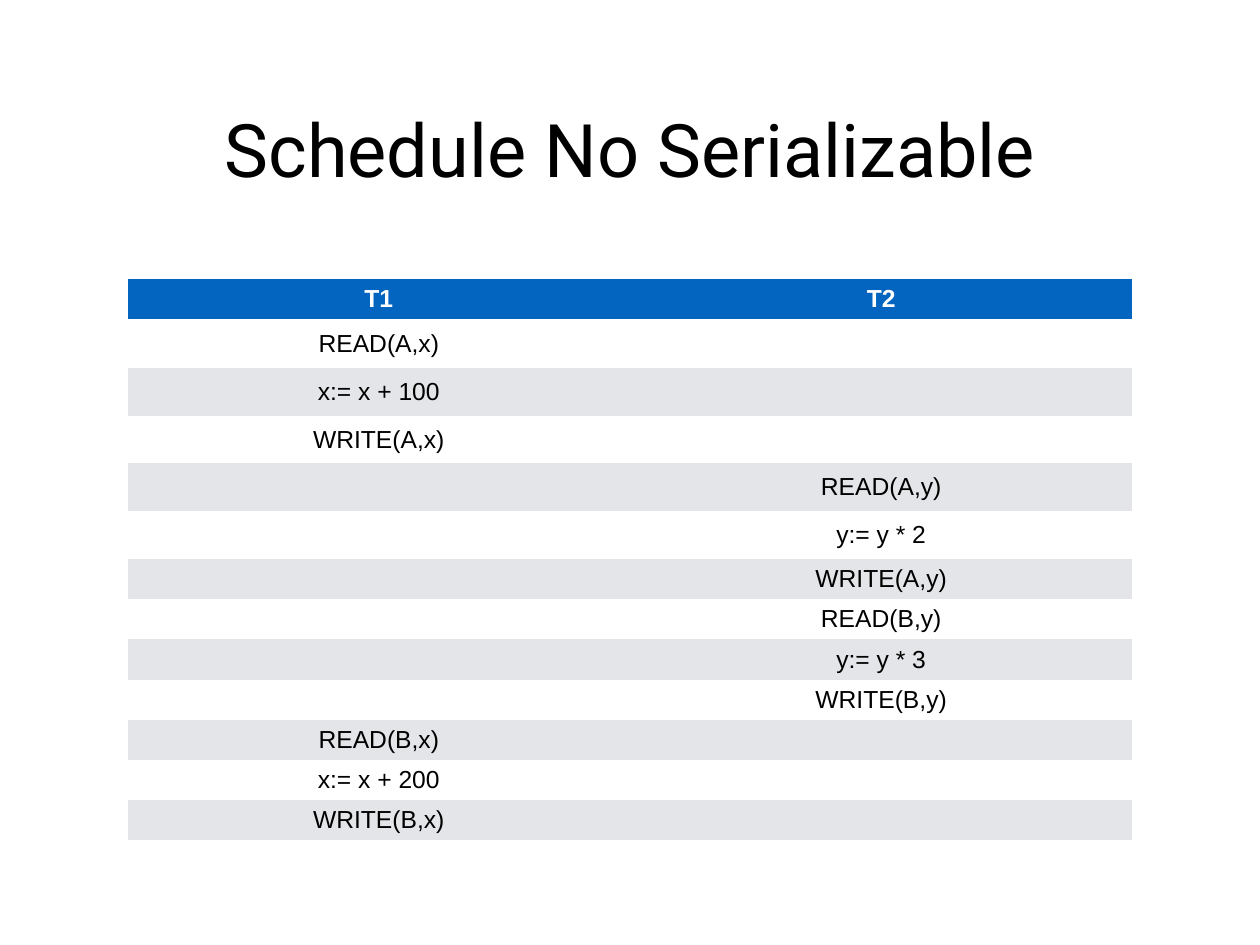
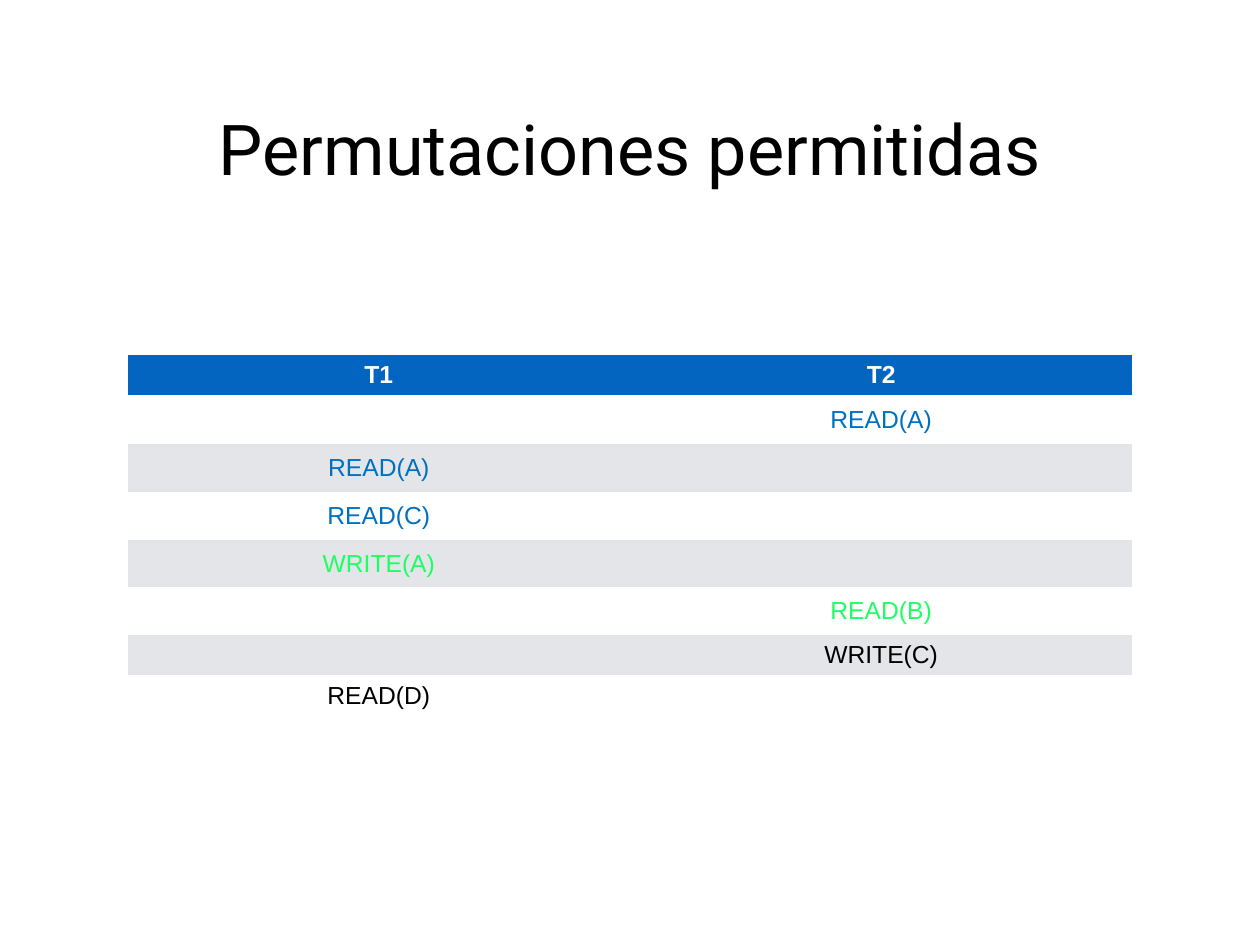
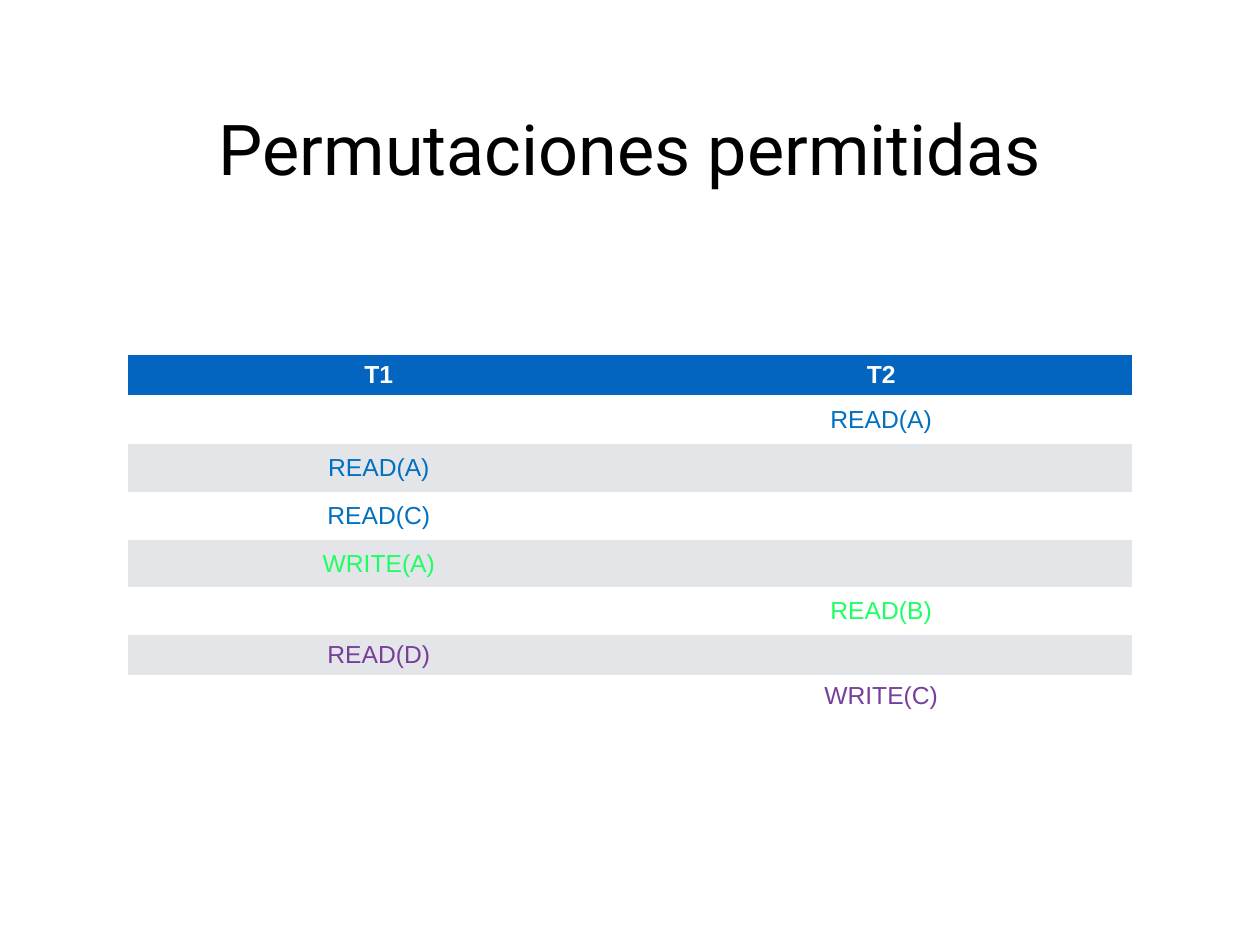
from pptx import Presentation
from pptx.dml.color import RGBColor
from pptx.enum.text import MSO_ANCHOR as Anchor, PP_ALIGN as Align
from pptx.oxml.ns import qn
from pptx.util import Inches, Pt

BLACK = RGBColor(0x00, 0x00, 0x00)
WHITE = RGBColor(0xFF, 0xFF, 0xFF)
HEAD = RGBColor(0x03, 0x65, 0xC0)
BAND = RGBColor(0xE3, 0xE5, 0xE8)
BLUE = RGBColor(0x00, 0x70, 0xC0)
GREEN = RGBColor(0x1D, 0xFF, 0x63)
PURPLE = RGBColor(0x77, 0x3F, 0x9B)

NO_GRID = "{2D5ABB26-0587-4C30-8999-92F81FD0307C}"
INSET = Inches(0.06)
LEFT, COL_W = 1.44, 5.67
TALL = [0.45, 0.55, 0.54, 0.54, 0.54, 0.54]
LOW = 0.44

HEADS = ["T1", "T2"]
SERIAL = [
    (0, "READ(A,x)", BLACK),
    (0, "x:= x + 100", BLACK),
    (0, "WRITE(A,x)", BLACK),
    (1, "READ(A,y)", BLACK),
    (1, "y:= y * 2", BLACK),
    (1, "WRITE(A,y)", BLACK),
    (1, "READ(B,y)", BLACK),
    (1, "y:= y * 3", BLACK),
    (1, "WRITE(B,y)", BLACK),
    (0, "READ(B,x)", BLACK),
    (0, "x:= x + 200", BLACK),
    (0, "WRITE(B,x)", BLACK),
]
SWAPS = [
    (1, "READ(A)", BLUE),
    (0, "READ(A)", BLUE),
    (0, "READ(C)", BLUE),
    (0, "WRITE(A)", GREEN),
    (1, "READ(B)", GREEN),
]
BEFORE = [(1, "WRITE(C)", BLACK), (0, "READ(D)", BLACK)]
AFTER = [(0, "READ(D)", PURPLE), (1, "WRITE(C)", PURPLE)]

SLIDES = [
    dict(title="Schedule No Serializable", size=60, top=3.15, steps=SERIAL),
    dict(title="Permutaciones permitidas", size=57, top=4.01, steps=SWAPS + BEFORE),
    dict(title="Permutaciones permitidas", size=57, top=4.01, steps=SWAPS + AFTER),
]


def write(frame, text, font="Arial", size=20, color=BLACK, bold=False):
    para = frame.paragraphs[0]
    para.alignment = Align.CENTER
    run = para.add_run()
    run.text = text
    run.font.name = font
    run.font.size = Pt(size)
    run.font.bold = bold
    run.font.color.rgb = color


def inset(area):
    area.margin_left = area.margin_right = INSET
    area.margin_top = area.margin_bottom = INSET
    area.vertical_anchor = Anchor.MIDDLE


def add_title(slide, text, size):
    box = slide.shapes.add_textbox(Inches(2.37), Inches(1.12), Inches(9.48), Inches(1.09))
    frame = box.text_frame
    frame.word_wrap = True
    inset(frame)
    write(frame, text, font="Roboto", size=size)


def add_grid(slide, top, steps):
    count = len(steps) + 1
    highs = TALL + [LOW] * (count - len(TALL))
    grid = slide.shapes.add_table(
        count, len(HEADS), Inches(LEFT), Inches(top),
        Inches(COL_W * len(HEADS)), Inches(sum(highs))).table
    grid._tbl.tblPr.find(qn("a:tableStyleId")).text = NO_GRID
    grid.horz_banding = False
    for col in grid.columns:
        col.width = Inches(COL_W)
    for i, high in enumerate(highs):
        grid.rows[i].height = Inches(high)
        fill = HEAD if i == 0 else WHITE if i % 2 else BAND
        for cell in grid.rows[i].cells:
            cell.fill.solid()
            cell.fill.fore_color.rgb = fill
            inset(cell)
    for col, text in enumerate(HEADS):
        write(grid.cell(0, col).text_frame, text, color=WHITE, bold=True)
    for row, (col, text, color) in enumerate(steps, 1):
        write(grid.cell(row, col).text_frame, text, color=color)


def main():
    deck = Presentation()
    deck.slide_width, deck.slide_height = Inches(14.22), Inches(10.67)
    for page in SLIDES:
        slide = deck.slides.add_slide(deck.slide_layouts[6])
        add_title(slide, page["title"], page["size"])
        add_grid(slide, page["top"], page["steps"])
    deck.save("out.pptx")


if __name__ == "__main__":
    main()
